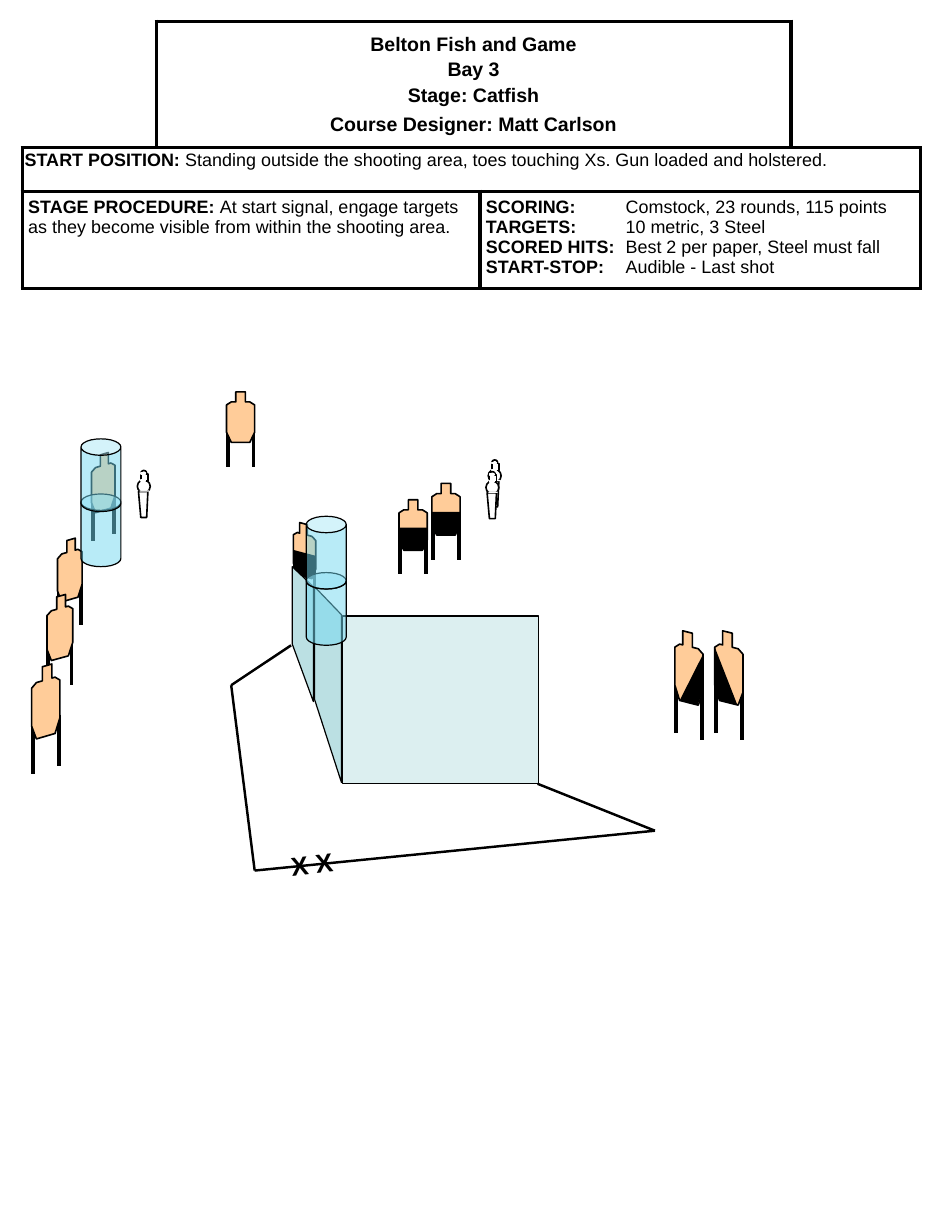
from dataclasses import dataclass
from itertools import product

from lxml import etree
from pptx import Presentation
from pptx.dml.color import RGBColor
from pptx.enum.shapes import MSO_CONNECTOR, MSO_SHAPE
from pptx.enum.text import MSO_ANCHOR, MSO_AUTO_SIZE, PP_ALIGN
from pptx.oxml.ns import qn
from pptx.util import Inches, Pt

STRAIGHT = MSO_CONNECTOR.STRAIGHT
RECT, OVAL, CAN = MSO_SHAPE.RECTANGLE, MSO_SHAPE.OVAL, MSO_SHAPE.CAN
COLORS = {"black": "000000", "white": "FFFFFF", "cardboard": "FFCC99",
          "wall": "BBE0E3", "barrel": "73D9F1"}
FONT = "Arial"

# Painted zones of a target, as fractions of its width and height
LOWER_HALF = [(0, 0.55), (1, 0.55), (1, 0.8), (0.83, 1), (0.17, 1), (0, 0.8)]
LOWER_RIGHT = [(0.17, 1), (0.8, 1), (1, 0.8), (1, 0.26)]
LOWER_LEFT = [(0.8, 1), (0.17, 1), (0, 0.8), (0, 0.26)]


@dataclass
class Target:
    left: float
    top: float
    width: float
    height: float
    skew: float = 0  # drop from the left edge to the right edge
    paint: list | None = None

    def at(self, u: float, v: float) -> tuple[float, float]:
        return (self.left + u * self.width,
                self.top + v * self.height + u * self.skew)


@dataclass
class Part:
    kind: int
    x: float
    y: float
    w: float
    h: float
    line: str | None = "black"


TARGETS = [
    Target(0.78, 3.9, 0.2, 0.48, -0.06),
    Target(2.5, 4.44, 0.19, 0.45, 0.05, LOWER_HALF),
    Target(0.49, 4.63, 0.21, 0.51, -0.06),
    Target(6.09, 5.36, 0.24, 0.6, 0.06, LOWER_LEFT),
    Target(5.75, 5.36, 0.24, 0.6, 0.06, LOWER_RIGHT),
    Target(3.4, 4.26, 0.24, 0.43, 0, LOWER_HALF),
    Target(1.93, 3.34, 0.24, 0.43),
    Target(0.4, 5.11, 0.22, 0.53, -0.06),
    Target(0.27, 5.71, 0.24, 0.6, -0.07),
    Target(3.68, 4.12, 0.24, 0.44, 0, LOWER_HALF),
]
POPPERS = [(4.16, 3.92), (4.14, 4.02), (1.17, 4.01)]
POPPER_TOP = [Part(OVAL, 0.03, 0, 0.05, 0.05), Part(OVAL, 0, 0.08, 0.11, 0.11)]
POPPER_LEGS = [(0.01, 0.18), (0.09, 0.18), (0.08, 0.4), (0.03, 0.4)]
POPPER_JOINTS = [Part(RECT, 0.03, 0.03, 0.06, 0.06),
                 Part(RECT, 0.02, 0.17, 0.08, 0.01, None),
                 Part(RECT, 0.03, 0.08, 0.04, 0.01, "white"),
                 Part(RECT, 0.03, 0.02, 0.04, 0.01, "white")]
SIDE_WALLS = [
    [(2.68, 5.96), (2.91, 6.67), (2.91, 5.24), (2.68, 5)],
    [(2.49, 5.49), (2.67, 5.98), (2.67, 5), (2.49, 4.83)],
]
SHOOTING_AREA = [(2.48, 5.5), (1.97, 5.84), (2.17, 7.42), (5.58, 7.08), (4.58, 6.68)]
BARRELS = [(2.61, 4.88), (2.61, 4.4), (0.69, 4.21), (0.69, 3.74)]
SCORING = [("SCORING:", "Comstock, 23 rounds, 115 points"),
           ("TARGETS:", "10 metric, 3 Steel"),
           ("SCORED HITS:", "Best 2 per paper, Steel must fall"),
           ("START-STOP:", "Audible - Last shot")]


def rgb(name: str) -> RGBColor:
    return RGBColor.from_string(COLORS[name])


def paint(sp, fill: str, line: str | None, width: float, alpha: int = 100) -> None:
    sp.shadow.inherit = False
    sp.fill.solid()
    sp.fill.fore_color.rgb = rgb(fill)
    if alpha < 100:
        color = sp._element.spPr.find(qn("a:solidFill"))[0]
        etree.SubElement(color, qn("a:alpha"), val=str(alpha * 1000))
    if line:
        sp.line.color.rgb = rgb(line)
        sp.line.width = Pt(width)
    else:
        sp.line.fill.background()


def add_preset(s, kind, x: float, y: float, w: float, h: float, fill: str,
               line: str | None, width: float, alpha: int = 100):
    sp = s.shapes.add_shape(kind, Inches(x), Inches(y), Inches(w), Inches(h))
    paint(sp, fill, line, width, alpha)
    return sp


def add_polygon(s, points, fill: str, line: str | None, width: float) -> None:
    first, *rest = [(Inches(x), Inches(y)) for x, y in points]
    builder = s.shapes.build_freeform(*first)
    builder.add_line_segments(rest, close=True)
    paint(builder.convert_to_shape(), fill, line, width)


def add_line(s, start, end, width: float) -> None:
    c = s.shapes.add_connector(STRAIGHT, *map(Inches, (*start, *end)))
    c.line.color.rgb = rgb("black")
    c.line.width = Pt(width)
    etree.SubElement(c._element.spPr, qn("a:effectLst"))


def add_target(s, t: Target) -> None:
    inset = 0.01 / t.width
    for u in (inset, 1 - inset):
        add_line(s, t.at(u, 0.75), t.at(u, 1.48), 2.25)
    shift = 0.05 * ((t.skew < 0) - (t.skew > 0))  # neck moves as the target turns
    a, b = 0.33 + shift, 0.67 + shift
    outline = [(a, 0), (b, 0), (b, 0.2), (0.83, 0.2), (1, 0.26), (1, 0.8),
               (0.83, 1), (0.17, 1), (0, 0.8), (0, 0.26), (0.17, 0.2), (a, 0.2)]
    add_polygon(s, [t.at(*p) for p in outline], "cardboard", "black", 1)
    if t.paint:
        add_polygon(s, [t.at(*p) for p in t.paint], "black", None, 0)


def add_popper(s, x: float, y: float) -> None:
    def add_parts(parts: list[Part]) -> None:
        for p in parts:
            add_preset(s, p.kind, x + p.x, y + p.y, p.w, p.h, "white", p.line, 1)

    add_parts(POPPER_TOP)
    add_polygon(s, [(x + dx, y + dy) for dx, dy in POPPER_LEGS], "white", "black", 1)
    add_parts(POPPER_JOINTS)


def style_cell(cell, sides: str) -> None:
    tc_pr = cell._tc.get_or_add_tcPr()
    for side in "LRTB":
        ln = etree.SubElement(tc_pr, qn(f"a:ln{side}"), w=str(Pt(2.25)))
        if side in sides:
            solid = etree.SubElement(ln, qn("a:solidFill"))
            etree.SubElement(solid, qn("a:srgbClr"), val=COLORS["black"])
        else:
            etree.SubElement(ln, qn("a:noFill"))
    cell.fill.solid()
    cell.fill.fore_color.rgb = rgb("white")
    cell.margin_left = cell.margin_right = cell.margin_top = cell.margin_bottom = 0


def write_cell(cell, lines, size: float, mx: float = 0.05, my: float = 0.05,
               tab: float | None = None) -> list:
    """Each line is a bold part followed by a plain part."""
    cell.margin_left = cell.margin_right = Inches(mx)
    cell.margin_top = cell.margin_bottom = Inches(my)
    tf = cell.text_frame
    for i, (bold, plain) in enumerate(lines):
        p = tf.add_paragraph() if i else tf.paragraphs[0]
        if tab:
            tabs = etree.SubElement(p._p.get_or_add_pPr(), qn("a:tabLst"))
            etree.SubElement(tabs, qn("a:tab"), pos=str(Inches(tab)), algn="l")
        p.font.name, p.font.size = FONT, Pt(size)
        p.font.color.rgb = rgb("black")
        for text, is_bold in ((bold, True), (plain, False)):
            if text:
                r = p.add_run()
                r.text, r.font.bold = text, is_bold
    return list(tf.paragraphs)


def add_briefing(s) -> None:
    table = s.shapes.add_table(3, 4, Inches(0.19), Inches(0.18),
                               Inches(7.65), Inches(2.28)).table
    table.first_row = table.horz_banding = False
    for col, width in zip(table.columns, (1.14, 2.76, 2.65, 1.1)):
        col.width = Inches(width)
    for row, height in zip(table.rows, (1.08, 0.37, 0.83)):
        row.height = Inches(height)
    corners = {(0, 0): "RB", (0, 3): "LB"}
    for pos in product(range(3), range(4)):
        style_cell(table.cell(*pos), corners.get(pos, "LRTB"))
    for row, first, last in ((0, 1, 2), (1, 0, 3), (2, 0, 1), (2, 2, 3)):
        table.cell(row, first).merge(table.cell(row, last))

    title = table.cell(0, 1)
    title.vertical_anchor = MSO_ANCHOR.MIDDLE
    names = ["Belton Fish and Game", "Bay 3", "Stage: Catfish",
             "Course Designer: Matt Carlson"]
    paragraphs = write_cell(title, [(name, "") for name in names], 12)
    for p, before in zip(paragraphs, (0, 2.4, 2.4, 4.2)):
        p.alignment, p.space_before = PP_ALIGN.CENTER, Pt(before)
    start = write_cell(table.cell(1, 0), [(
        "START POSITION:", " Standing outside the shooting area, toes touching Xs. "
        "Gun loaded and holstered.")], 11, 0.02, 0.04)
    start[0].line_spacing = 0.9
    write_cell(table.cell(2, 0), [(
        "STAGE PROCEDURE: ", "At start signal, engage targets as they become "
        "visible from within the shooting area.")], 11)
    write_cell(table.cell(2, 2), [(k, "\t" + v) for k, v in SCORING], 11, tab=1.19)


def add_start_marks(s) -> None:
    box = s.shapes.add_textbox(Inches(2.38), Inches(7.18), Inches(0.58), Inches(0.37))
    box.rotation = 353.4
    tf = box.text_frame
    tf.word_wrap, tf.auto_size = False, MSO_AUTO_SIZE.SHAPE_TO_FIT_TEXT
    p = tf.paragraphs[0]
    p.text = "X X"
    p.font.name, p.font.size, p.font.bold = FONT, Pt(16), True
    p.font.color.rgb = rgb("black")


def main() -> None:
    prs = Presentation()
    prs.slide_width, prs.slide_height = Inches(8), Inches(10.5)
    s = prs.slides.add_slide(prs.slide_layouts[6])
    add_briefing(s)
    # Targets and steel
    for t in TARGETS:
        add_target(s, t)
    for x, y in POPPERS:
        add_popper(s, x, y)
    # Walls and shooting area
    near, far = SIDE_WALLS
    add_polygon(s, near, "wall", "black", 0.75)
    add_preset(s, RECT, 2.92, 5.25, 1.67, 1.43, "wall", "black", 0.75, 50)
    add_polygon(s, far, "wall", "black", 0.75)
    for start, end in zip(SHOOTING_AREA, SHOOTING_AREA[1:]):
        add_line(s, start, end, 1.5)
    # Stacked barrels
    for x, y in BARRELS:
        barrel = add_preset(s, CAN, x, y, 0.34, 0.62, "barrel", "black", 0.75, 50)
        barrel.adjustments[0] = 0.413
    add_start_marks(s)
    prs.save("out.pptx")


if __name__ == "__main__":
    main()
